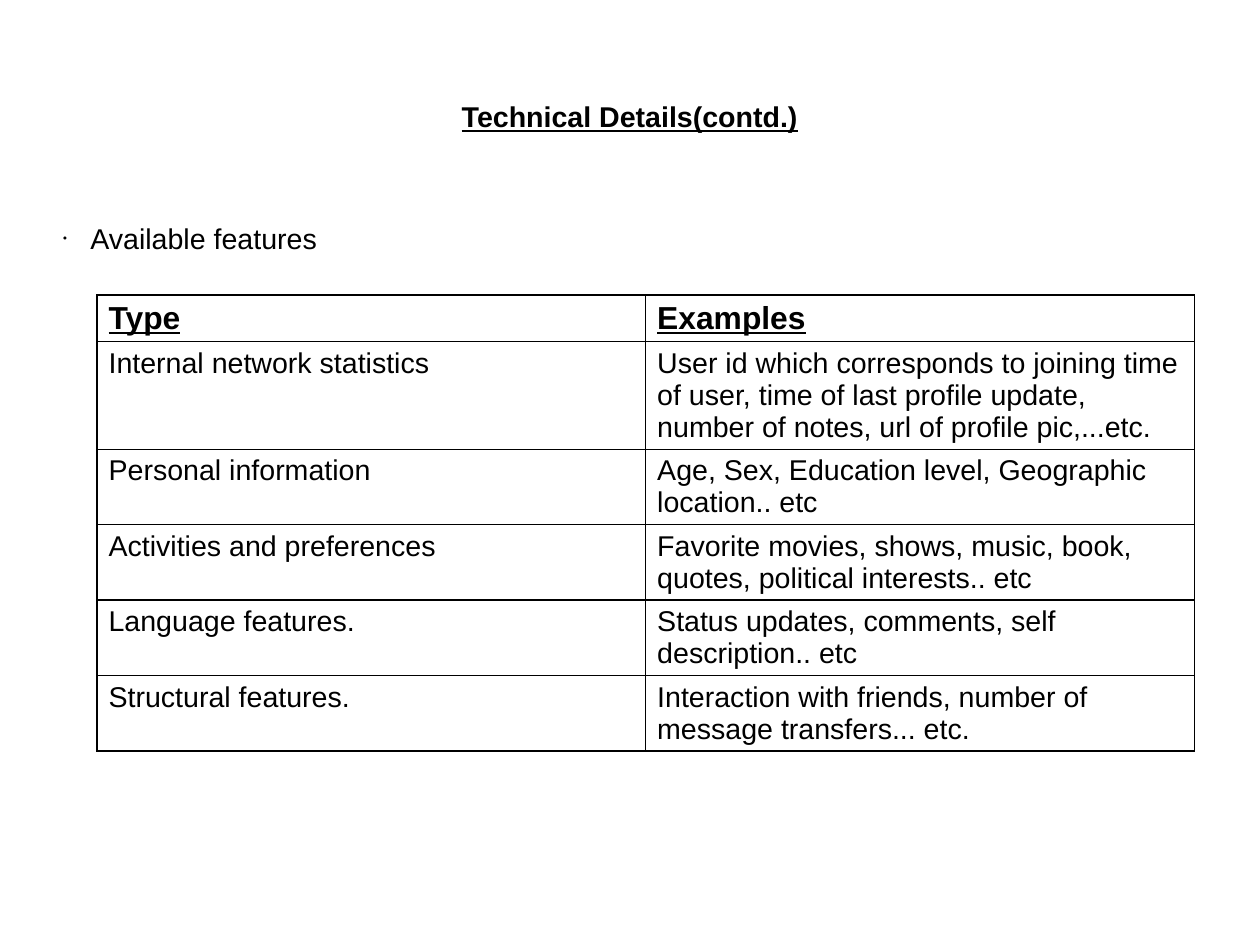
"""Build the slide that lists the available features by type."""
from dataclasses import dataclass
from lxml import etree
from pptx import Presentation
from pptx.dml.color import RGBColor
from pptx.enum.text import MSO_ANCHOR, PP_ALIGN
from pptx.oxml.ns import qn
from pptx.util import Inches, Pt

MIDDLE, TOP = MSO_ANCHOR.MIDDLE, MSO_ANCHOR.TOP
LEFT, CENTER = PP_ALIGN.LEFT, PP_ALIGN.CENTER

TITLE = "Technical Details(contd.)"
POINT = "Available features"
ROWS = [
    ("Type", "Examples"),
    ("Internal network statistics",
     "User id which corresponds to joining time of user, time of last "
     "profile update, number of notes, url of profile pic,...etc."),
    ("Personal information",
     "Age, Sex, Education level, Geographic location.. etc"),
    ("Activities and preferences",
     "Favorite movies, shows, music, book, quotes, political interests.. etc"),
    ("Language features.",
     "Status updates, comments, self description.. etc"),
    ("Structural features.",
     "Interaction with friends, number of message transfers... etc."),
]
PAGE_CM = (28, 21)
CM_PER_INCH = 2.54
HEIGHTS = [0.41, 0.94] + [0.66] * 4
WIDTH = 4.8
INDENT = 0.24


@dataclass(frozen=True)
class Theme:
    """Hold the font, colours and type sizes."""
    font: str = "Arial"
    ink: str = "000000"
    paper: str = "FFFFFF"
    text: int = 18
    head: int = 20
    line: float = 1


LOOK = Theme()


def style(para, size, strong=False):
    """Format the runs of a paragraph."""
    for run in para.runs:
        font = run.font
        font.name, font.size = LOOK.font, Pt(size)
        font.bold = font.underline = strong
        font.color.rgb = RGBColor.from_string(LOOK.ink)


def place(shape, text, box, anchor, align, strong=False):
    """Move and fill a placeholder, and return its paragraph."""
    shape.left, shape.top, shape.width, shape.height = map(Inches, box)
    frame = shape.text_frame
    frame.text = text
    frame.word_wrap = True
    frame.vertical_anchor = anchor
    frame.margin_left = frame.margin_right = 0
    frame.margin_top = frame.margin_bottom = 0
    para = frame.paragraphs[0]
    para.alignment, para.space_before = align, Pt(0)
    style(para, LOOK.text, strong)
    return para


def bullet(para):
    """Give a paragraph a small round bullet."""
    props = para._p.get_or_add_pPr()
    props.set("marL", str(Inches(INDENT)))
    props.set("indent", str(-Inches(INDENT)))
    etree.SubElement(props, qn("a:buSzPct"), val="25000")
    etree.SubElement(props, qn("a:buFont"), typeface=LOOK.font)
    etree.SubElement(props, qn("a:buChar"), char="●")


def border(cell):
    """Draw a line on all four sides of a cell."""
    props = cell._tc.get_or_add_tcPr()
    for spot, side in enumerate("LRTB"):
        line = etree.Element(qn("a:ln" + side), w=str(Pt(LOOK.line)))
        fill = etree.SubElement(line, qn("a:solidFill"))
        etree.SubElement(fill, qn("a:srgbClr"), val=LOOK.ink)
        props.insert(spot, line)


def grid(slide):
    """Add the table of feature types."""
    count = len(ROWS[0])
    frame = slide.shapes.add_table(
        len(ROWS), count, Inches(0.85), Inches(2.58),
        Inches(WIDTH * count), Inches(sum(HEIGHTS)))
    table = frame.table
    table.horz_banding = False
    for col in table.columns:
        col.width = Inches(WIDTH)
    for i, (row, texts) in enumerate(zip(table.rows, ROWS)):
        row.height = Inches(HEIGHTS[i])
        for cell, text in zip(row.cells, texts):
            cell.text = text
            cell.fill.solid()
            cell.fill.fore_color.rgb = RGBColor.from_string(LOOK.paper)
            border(cell)
            size = LOOK.text if i else LOOK.head
            style(cell.text_frame.paragraphs[0], size, i == 0)


deck = Presentation()
deck.slide_width, deck.slide_height = (
    Inches(side / CM_PER_INCH) for side in PAGE_CM)
slide = deck.slides.add_slide(deck.slide_layouts[1])
place(slide.shapes.title, TITLE, (0.55, 0.33, 9.92, 1.38),
      MIDDLE, CENTER, True)
bullet(place(slide.placeholders[1], POINT, (0.55, 1.93, 9.92, 4.79),
             TOP, LEFT))
grid(slide)
deck.save("out.pptx")
